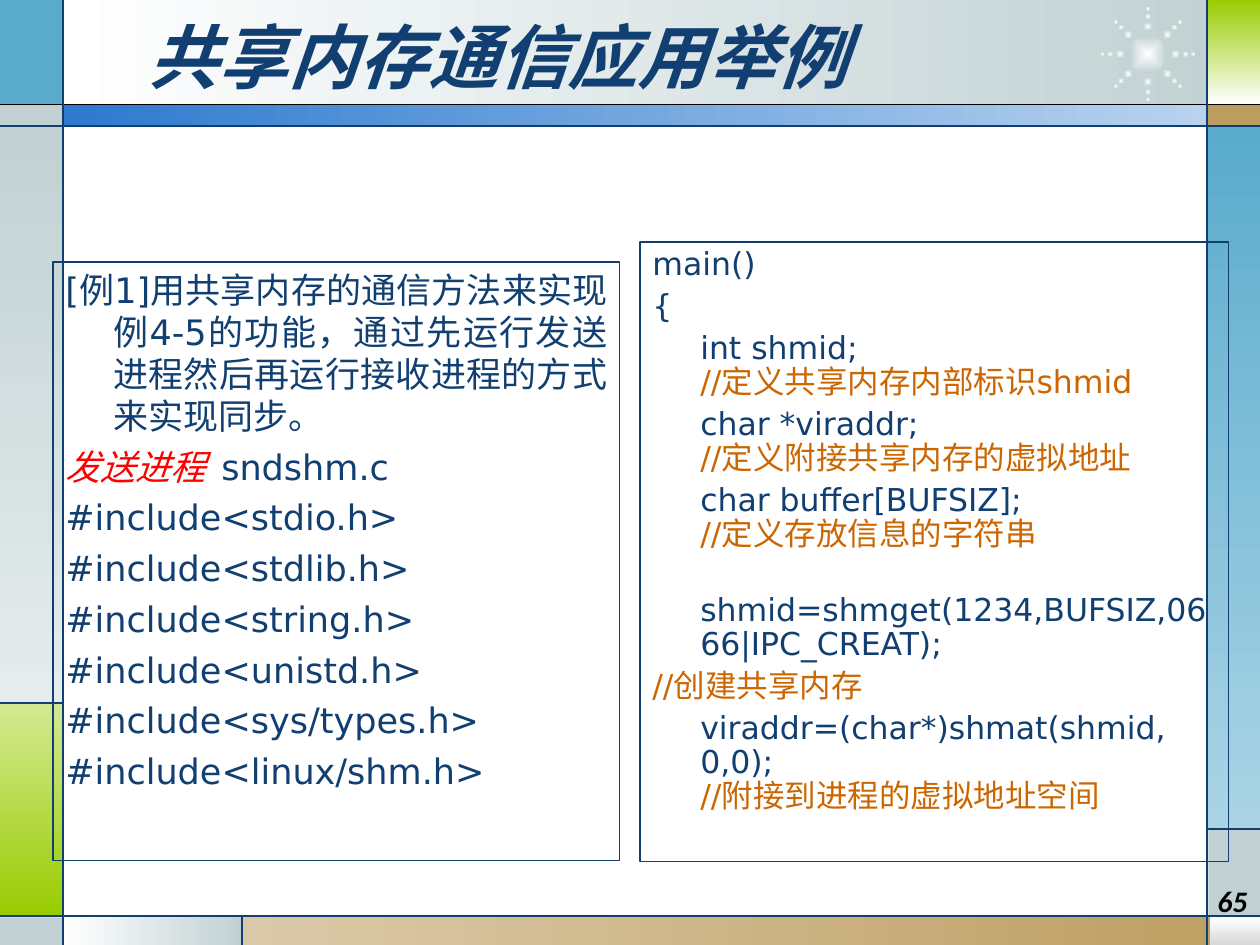
"""Build the slide on a shared memory communication example."""
from math import cos, radians, sin

from lxml.etree import SubElement
from pptx import Presentation
from pptx.dml.color import RGBColor
from pptx.enum.shapes import MSO_CONNECTOR, MSO_SHAPE
from pptx.enum.text import MSO_ANCHOR, PP_ALIGN
from pptx.oxml.ns import qn
from pptx.util import Inches, Pt

NAVY = RGBColor(0x11, 0x3F, 0x71)
BLACK = RGBColor(0, 0, 0)
WHITE = RGBColor(0xFF, 0xFF, 0xFF)
RED = RGBColor(0xFF, 0, 0)
ORANGE = RGBColor(0xCC, 0x66, 0)
GREY = RGBColor(0xC1, 0xD1, 0xD3)
PALE_GREY = RGBColor(0xE5, 0xEC, 0xEC)
SILVER = RGBColor(0xD8, 0xD8, 0xD8)
SKY = RGBColor(0x5A, 0xAB, 0xCC)
PALE_SKY = RGBColor(0xAA, 0xD4, 0xE5)
GREEN = RGBColor(0x99, 0xCC, 0)
PALE_GREEN = RGBColor(0xD4, 0xE9, 0x93)
TAN = RGBColor(0xBD, 0x9E, 0x61)
PALE_TAN = RGBColor(0xDB, 0xCA, 0xA9)
BLUE = RGBColor(0x2D, 0x7A, 0xCF)
PALE_BLUE = RGBColor(0xB9, 0xD3, 0xEF)

CJK_FONT = "Noto Sans CJK SC"
CODE_FONT = "DejaVu Sans"
RIGHTWARD, DOWNWARD = 0, 270
INDENT = 0.38
BREAK = "\n"

PANELS = [
    ((0.5, 0, 9.27, 0.84), (WHITE, GREY), RIGHTWARD),
    ((0, 0, 0.5, 0.84), (SKY,), None),
    ((0, 0.83, 0.5, 0.17), (GREY,), None),
    ((0, 1, 0.5, 4.58), (GREY, PALE_GREY), DOWNWARD),
    ((0, 5.58, 0.5, 1.69), (PALE_GREEN, GREEN), DOWNWARD),
    ((0, 7.28, 0.5, 0.22), (GREY,), None),
    ((0.5, 7.27, 1.43, 0.23), (WHITE, GREY), RIGHTWARD),
    ((1.92, 7.27, 8.08, 0.23), (PALE_TAN, TAN), RIGHTWARD),
    ((9.6, 7.28, 0.4, 0.22), (WHITE, SILVER), DOWNWARD),
    ((9.59, 6.58, 0.41, 0.7), (GREY,), None),
    ((9.58, 1, 0.42, 5.58), (SKY, PALE_SKY), DOWNWARD),
    ((9.58, 0.83, 0.42, 0.17), (TAN,), None),
    ((9.59, 0, 0.41, 0.83), (GREEN, WHITE), DOWNWARD),
    ((0.5, 0.83, 9.09, 0.17), (BLUE, PALE_BLUE), RIGHTWARD),
]
RULES = [
    ((0, 0.83, 10, 0.83), BLACK),
    ((0, 1, 10, 1), NAVY),
    ((0, 7.27, 10, 7.27), NAVY),
    ((0.5, 0, 0.5, 7.5), NAVY),
    ((9.58, 0, 9.58, 7.5), NAVY),
    ((0.5, 5.58, 0, 5.58), NAVY),
    ((1.92, 7.27, 1.92, 7.5), NAVY),
    ((9.58, 6.58, 10, 6.58), NAVY),
]
STAR_CENTRE = (9.11, 0.43)
STAR_ARMS = 8
STAR_DOTS = [(0.3, 0.05), (0.36, 0.04), (0.22, 0.07)]

TITLE = "共享内存通信应用举例"
PAGE_NUMBER = "65"
HEADERS = ["stdio.h", "stdlib.h", "string.h", "unistd.h", "sys/types.h", "linux/shm.h"]
SENDER_INTRO = [
    [("[例1]用共享内存的通信方法来实现例4-5的功能，通过先运行发送进程然后再运行接收进程的方式来实现同步。", NAVY)],
    [("发送进程  ", RED), ("sndshm.c", NAVY)],
]
SENDER = SENDER_INTRO + [[(f"#include<{header}>", NAVY)] for header in HEADERS]
MAIN_CODE = [
    (0, ["main()"]),
    (0, ["{"]),
    (INDENT, ["int shmid;", BREAK, "//定义共享内存内部标识shmid"]),
    (INDENT, ["char *viraddr;", BREAK, "//定义附接共享内存的虚拟地址"]),
    (INDENT, ["char buffer[BUFSIZ];", BREAK, "//定义存放信息的字符串"]),
    (INDENT, ["shmid=shmget(1234,BUFSIZ,0666|IPC_CREAT);"]),
    (0, ["//创建共享内存"]),
    (INDENT, ["viraddr=(char*)shmat(shmid, 0,0);", BREAK, "//附接到进程的虚拟地址空间"]),
]
LINE_HEIGHT = 19.5


def add_filled(slide, kind, box, colors, angle=None):
    """Add an unoutlined shape with a solid or two-colour fill."""
    shape = slide.shapes.add_shape(kind, *map(Inches, box))
    shape.shadow.inherit = False
    shape.line.fill.background()
    if len(colors) == 1:
        shape.fill.solid()
        shape.fill.fore_color.rgb = colors[0]
    else:
        shape.fill.gradient()
        for stop, color, position in zip(shape.fill.gradient_stops, colors, (0, 1)):
            stop.color.rgb = color
            stop.position = position
        if angle is not None:
            shape.fill.gradient_angle = angle
    return shape


def add_glow(slide, x, y, size):
    """Add a dot that is white at its centre."""
    box = (x - size / 2, y - size / 2, size, size)
    dot = add_filled(slide, MSO_SHAPE.OVAL, box, (WHITE, GREY))
    gradient = dot.element.spPr.find(qn("a:gradFill"))
    gradient.remove(gradient.find(qn("a:lin")))
    path = SubElement(gradient, qn("a:path"), path="rect")
    SubElement(path, qn("a:fillToRect"), l="50000", t="50000", r="50000", b="50000")


def add_star(slide):
    """Add the ring of glowing dots."""
    x, y = STAR_CENTRE
    add_glow(slide, x, y, 0.3)
    for arm in range(STAR_ARMS):
        angle = radians(arm * 360 / STAR_ARMS)
        for radius, size in STAR_DOTS:
            add_glow(slide, x + radius * cos(angle), y + radius * sin(angle), size)


def add_rule(slide, ends, color):
    """Add a thin straight line."""
    line = slide.shapes.add_connector(MSO_CONNECTOR.STRAIGHT, *map(Inches, ends))
    line.line.color.rgb = color
    line.line.width = Pt(0.75)
    SubElement(line.element.spPr, qn("a:effectLst"))


def add_run(paragraph, text, size, color, font=CODE_FONT, bold=False, italic=False):
    """Add formatted text to a paragraph."""
    run = paragraph.add_run()
    run.text = text
    run.font.size = Pt(size)
    run.font.name = font
    run.font.bold = bold
    run.font.italic = italic
    run.font.color.rgb = color
    SubElement(run.font._element, qn("a:ea"), typeface=CJK_FONT)


def add_label(slide, box, text, size, font, align):
    """Add a bold italic text box and return it."""
    label = slide.shapes.add_textbox(*map(Inches, box))
    label.text_frame.word_wrap = True
    label.text_frame.vertical_anchor = MSO_ANCHOR.MIDDLE
    paragraph = label.text_frame.paragraphs[0]
    paragraph.alignment = align
    color = BLACK if text == PAGE_NUMBER else NAVY
    add_run(paragraph, text, size, color, font, bold=True, italic=True)


def add_frame(slide, box):
    """Add an outlined rectangle and return its text frame."""
    shape = slide.shapes.add_shape(MSO_SHAPE.RECTANGLE, *map(Inches, box))
    shape.shadow.inherit = False
    shape.fill.background()
    shape.line.color.rgb = NAVY
    shape.line.width = Pt(0.75)
    shape.text_frame.word_wrap = True
    shape.text_frame.vertical_anchor = MSO_ANCHOR.TOP
    return shape.text_frame


def add_paragraph(frame, index, align, left, hanging, before):
    """Return the paragraph at index with its indents and spacing set."""
    paragraph = frame.add_paragraph() if index else frame.paragraphs[0]
    paragraph.alignment = align
    properties = paragraph._p.get_or_add_pPr()
    properties.set("marL", str(Inches(left)))
    properties.set("indent", str(-Inches(hanging)))
    paragraph.space_before = Pt(before if index else 0)
    return paragraph


def main():
    presentation = Presentation()
    presentation.slide_width, presentation.slide_height = Inches(10), Inches(7.5)
    slide = presentation.slides.add_slide(presentation.slide_layouts[6])
    for box, colors, angle in PANELS:
        add_filled(slide, MSO_SHAPE.RECTANGLE, box, colors, angle)
    add_star(slide)
    for ends, color in RULES:
        add_rule(slide, ends, color)
    add_label(slide, (1.08, 0.13, 7.33, 0.62), TITLE, 40, CJK_FONT, PP_ALIGN.LEFT)

    frame = add_frame(slide, (0.42, 2.08, 4.5, 4.75))
    for index, runs in enumerate(SENDER):
        paragraph = add_paragraph(frame, index, PP_ALIGN.JUSTIFY, INDENT, INDENT, 5)
        for text, color in runs:
            add_run(paragraph, text, 20, color, italic=color == RED)

    frame = add_frame(slide, (5.08, 1.92, 4.67, 4.92))
    for index, (left, pieces) in enumerate(MAIN_CODE):
        before = 4.5 + (LINE_HEIGHT if "shmget" in pieces[0] else 0)
        paragraph = add_paragraph(frame, index, PP_ALIGN.LEFT, left, 0, before)
        paragraph.line_spacing = 0.9
        for piece in pieces:
            if piece == BREAK:
                paragraph.add_line_break()
            else:
                add_run(paragraph, piece, 18, ORANGE if piece.startswith("//") else NAVY)

    add_label(slide, (7.67, 6.95, 2.33, 0.4), PAGE_NUMBER, 17, "Calibri", PP_ALIGN.RIGHT)
    presentation.save("out.pptx")


if __name__ == "__main__":
    main()
